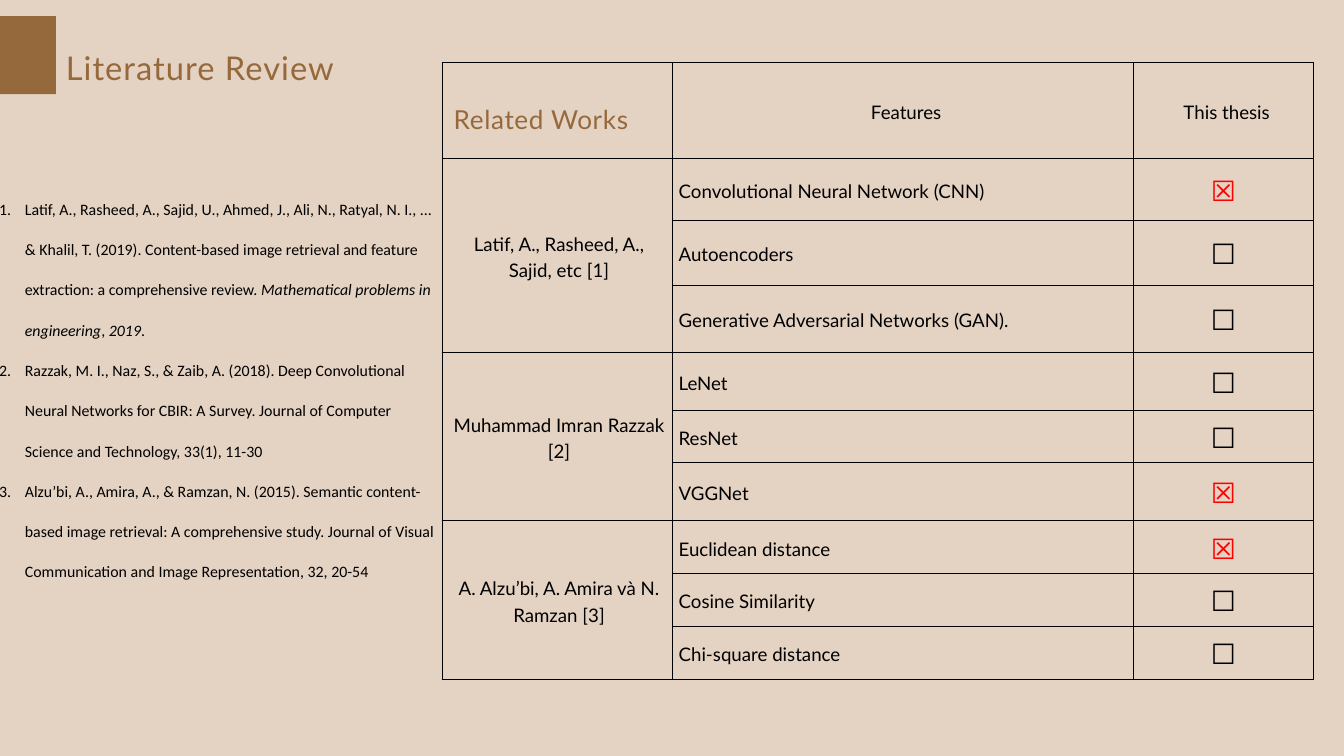
from itertools import accumulate

from lxml import etree
from pptx import Presentation
from pptx import util as u
from pptx.dml.color import RGBColor
from pptx.enum import shapes, text
from pptx.oxml import ns

Cm, Pt = u.Cm, u.Pt
COLORS = {"sand": "E4D2C3", "brown": "96693C", "black": "000000", "red": "FF0000"}
CHECKED, EMPTY = "☒", "☐"
COLUMNS = [8.69, 17.45, 6.78]
ROWS = [3.63, 2.33, 2.47, 2.53, 2.18, 2, 2.18, 2, 2, 2]
HEADINGS = ["", "Features", "This thesis"]
WORKS = [
    ("Latif, A., Rasheed, A., Sajid, etc [1]", [
        ("Convolutional Neural Network (CNN)", CHECKED),
        ("Autoencoders", EMPTY),
        ("Generative Adversarial Networks (GAN).", EMPTY)]),
    ("Muhammad Imran Razzak [2]", [
        ("LeNet", EMPTY), ("ResNet", EMPTY), ("VGGNet", CHECKED)]),
    ("A. Alzu’bi, A. Amira và N. Ramzan [3]", [
        ("Euclidean distance", CHECKED),
        ("Cosine Similarity", EMPTY),
        ("Chi-square distance", EMPTY)]),
]
REFERENCES = [
    [("Latif, A., Rasheed, A., Sajid, U., Ahmed, J., Ali, N., Ratyal, N. I., ... "
      "& Khalil, T. (2019). Content-based image retrieval and feature extraction: "
      "a comprehensive review. ", False),
     ("Mathematical problems in engineering", True), (", ", False),
     ("2019", True), (".", False)],
    [("Razzak, M. I., Naz, S., & Zaib, A. (2018). Deep Convolutional Neural Networks "
      "for CBIR: A Survey. Journal of Computer Science and Technology, 33(1), 11-30", False)],
    [("Alzu’bi, A., Amira, A., & Ramzan, N. (2015). Semantic content-based image "
      "retrieval: A comprehensive study. Journal of Visual Communication and Image "
      "Representation, 32, 20-54", False)],
]
HEADING_TEXT = {"name": "Lato", "color": "brown"}
CELL_TEXT = {"name": "Lato", "size": Pt(20), "color": "black"}
MARK_TEXT = {"name": "Calibri", "size": Pt(30)}
REFERENCE_TEXT = {"name": "Calibri", "size": Pt(17), "color": "black"}


def rgb(name):
    return RGBColor.from_string(COLORS[name])


def apply(target, values):
    for key, value in values.items():
        setattr(target, key, value)


def add_run(p, content, style, spacing=None):
    r = p.add_run()
    r.text = content
    apply(r.font, {k: v for k, v in style.items() if k != "color"})
    r.font.color.rgb = rgb(style["color"])
    if spacing:
        r.font._element.set("spc", str(spacing))


def format_paragraph(p, leading, align=text.PP_ALIGN.LEFT):
    apply(p, {"line_spacing": Pt(leading), "alignment": align,
              "space_before": Pt(0), "space_after": Pt(0)})


def place(sp, left, top, width, height):
    apply(sp, {"left": Cm(left), "top": Cm(top), "width": Cm(width), "height": Cm(height)})
    tf = sp.text_frame
    apply(tf, {"margin_left": 0, "margin_right": 0, "margin_top": 0, "margin_bottom": 0,
               "word_wrap": True, "auto_size": text.MSO_AUTO_SIZE.NONE,
               "vertical_anchor": text.MSO_ANCHOR.TOP})
    return tf


def write_heading(tf, content, size, leading, spacing):
    p = tf.paragraphs[0]
    format_paragraph(p, leading)
    add_run(p, content, {**HEADING_TEXT, "size": Pt(size)}, spacing)


def number_paragraph(p):
    pPr = p._p.get_or_add_pPr()
    pPr.set("marL", str(Cm(0.97)))
    pPr.set("indent", str(-Cm(0.97)))
    etree.SubElement(pPr, ns.qn("a:buFont"), typeface="+mj-lt")
    etree.SubElement(pPr, ns.qn("a:buAutoNum"), type="arabicPeriod")


def write_references(tf):
    for i, parts in enumerate(REFERENCES):
        p = tf.add_paragraph() if i else tf.paragraphs[0]
        number_paragraph(p)
        format_paragraph(p, 43.2)
        for content, italic in parts:
            add_run(p, content, {**REFERENCE_TEXT, "italic": italic})


def format_cell(cell):
    cell.fill.background()
    apply(cell, {"vertical_anchor": text.MSO_ANCHOR.MIDDLE,
                 "margin_left": Cm(0.25), "margin_right": Cm(0.25),
                 "margin_top": Cm(0.25), "margin_bottom": Cm(0.25)})
    tcPr = cell._tc.get_or_add_tcPr()
    for i, side in enumerate(("lnL", "lnR", "lnT", "lnB")):
        ln = etree.Element(ns.qn(f"a:{side}"), w=str(Pt(1.02)))
        fill = etree.SubElement(ln, ns.qn("a:solidFill"))
        etree.SubElement(fill, ns.qn("a:srgbClr"), val=COLORS["black"])
        tcPr.insert(i, ln)


def write_cell(cell, content, style=CELL_TEXT, align=text.PP_ALIGN.CENTER, leading=28):
    p = cell.text_frame.paragraphs[0]
    format_paragraph(p, leading, align)
    add_run(p, content, style)


def add_comparison(s):
    frame = s.shapes.add_table(len(ROWS), len(COLUMNS), Cm(16.71), Cm(2.36),
                               Cm(sum(COLUMNS)), Cm(sum(ROWS)))
    table = frame.table
    apply(table, {"first_row": False, "horz_banding": False})
    for column, width in zip(table.columns, COLUMNS):
        column.width = Cm(width)
    for row, height in zip(table.rows, ROWS):
        row.height = Cm(height)
    for cell in table.iter_cells():
        format_cell(cell)
    for col, heading in enumerate(HEADINGS):
        if heading:
            write_cell(table.cell(0, col), heading)
            table.cell(0, col).margin_left = Cm(0.5)
    starts = accumulate((len(features) for _, features in WORKS), initial=1)
    for start, (work, features) in zip(starts, WORKS):
        first = table.cell(start, 0)
        first.merge(table.cell(start + len(features) - 1, 0))
        write_cell(first, work)
        first.margin_left = Cm(0.4)
        for row, (feature, mark) in enumerate(features, start):
            write_cell(table.cell(row, 1), feature, align=text.PP_ALIGN.LEFT)
            color = "red" if mark == CHECKED else "black"
            write_cell(table.cell(row, 2), mark, {**MARK_TEXT, "color": color}, leading=42)


def add_accent(s):
    sp = s.shapes.add_shape(shapes.MSO_SHAPE.RECTANGLE, 0, Cm(0.61), Cm(2.11), Cm(2.95))
    sp.shadow.inherit = False
    sp.fill.solid()
    sp.fill.fore_color.rgb = rgb("brown")
    sp.line.fill.background()


def main():
    prs = Presentation()
    apply(prs, {"slide_width": Cm(50.8), "slide_height": Cm(28.58)})
    s = prs.slides.add_slide(prs.slide_layouts[1])
    s.background.fill.solid()
    s.background.fill.fore_color.rgb = rgb("sand")
    title, body = s.placeholders
    write_heading(place(title, 2.49, 0.71, 17.07, 2.31), "Literature Review", 35, 73.2, 110)
    write_references(place(body, -0.03, 6.73, 16.71, 15.09))
    add_comparison(s)
    label = s.shapes.add_textbox(0, 0, 0, 0)
    write_heading(place(label, 17.15, 3.58, 7.82, 1.45), "Related Works", 28, 42.7, 70)
    add_accent(s)
    prs.save("out.pptx")


if __name__ == "__main__":
    main()
